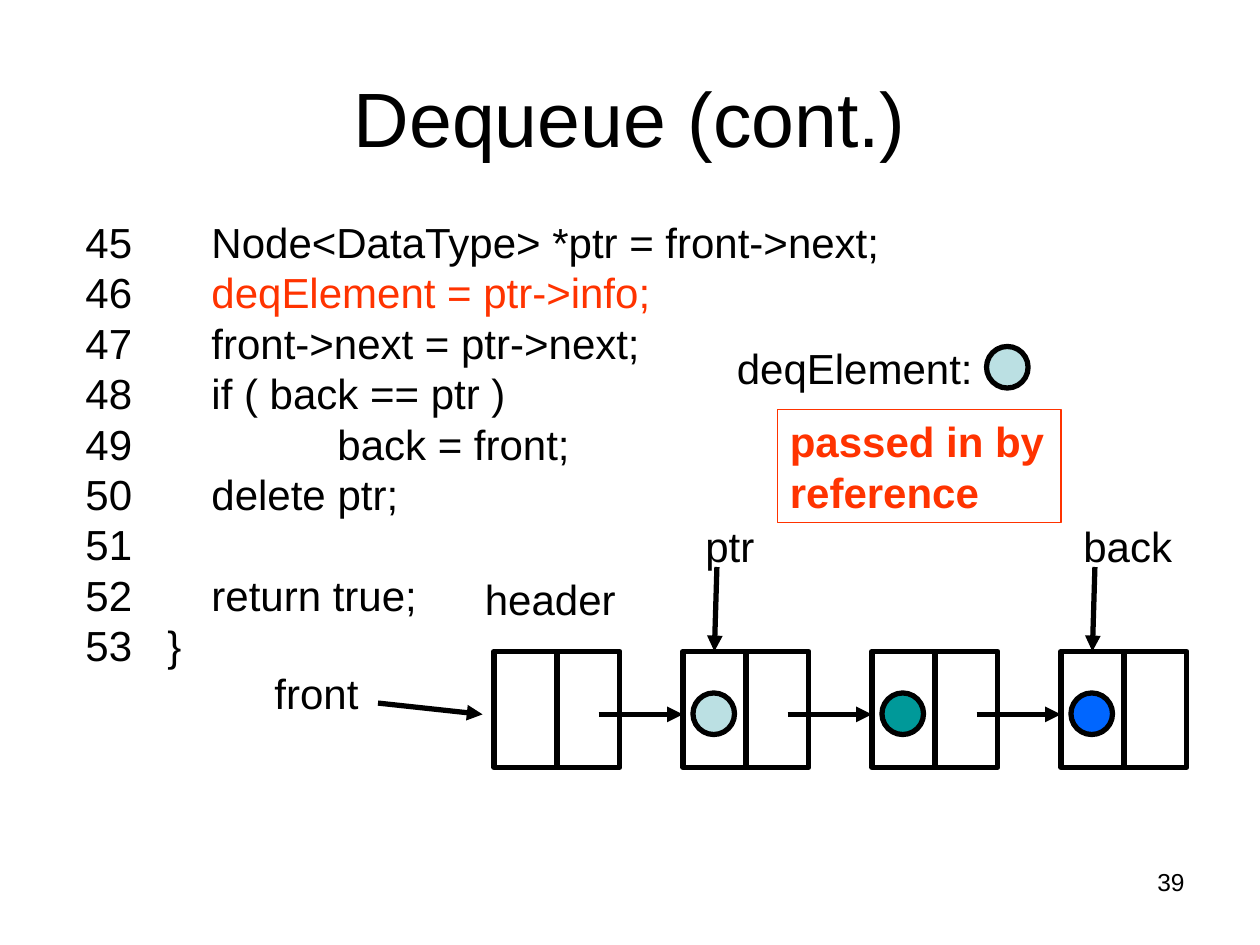
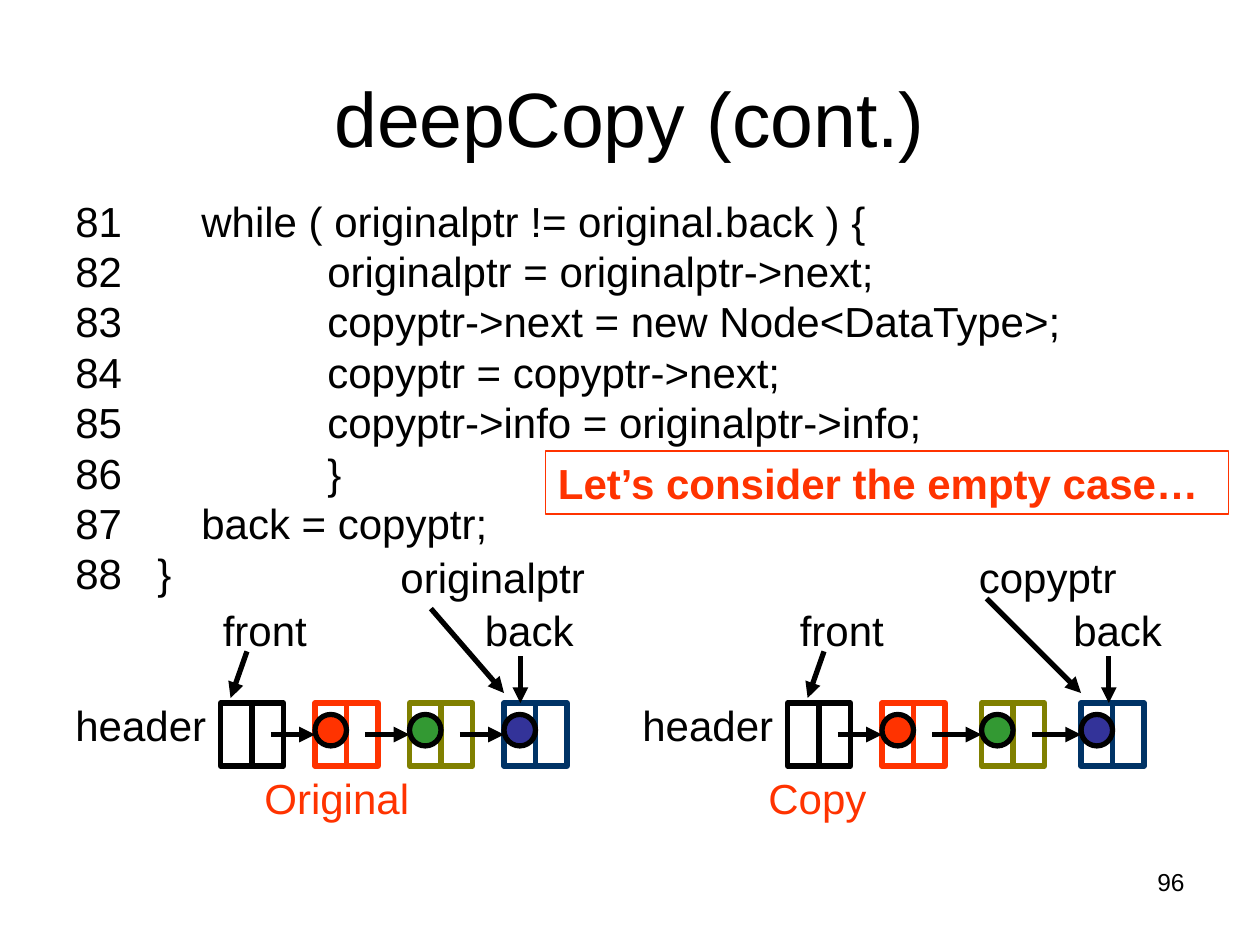
from dataclasses import dataclass

from lxml.etree import SubElement
from pptx import Presentation
from pptx.dml.color import RGBColor
from pptx.enum.shapes import MSO_CONNECTOR as Connector, MSO_SHAPE as Shape
from pptx.enum.text import MSO_ANCHOR as Anchor, PP_ALIGN as Align
from pptx.oxml.ns import qn
from pptx.util import Inches, Pt

BLACK = RGBColor(0x00, 0x00, 0x00)
WHITE = RGBColor(0xFF, 0xFF, 0xFF)
RED = RGBColor(0xFF, 0x33, 0x00)
PALE = RGBColor(0xBB, 0xE0, 0xE3)
TEAL = RGBColor(0x00, 0x99, 0x99)
BLUE = RGBColor(0x00, 0x66, 0xFF)
OLIVE = RGBColor(0x80, 0x80, 0x00)
NAVY = RGBColor(0x00, 0x33, 0x66)
GREEN = RGBColor(0x33, 0x99, 0x33)
INDIGO = RGBColor(0x33, 0x33, 0x99)

FONT = "Arial"
BODY_SIZE = 24
LINE_PITCH = 1.2


@dataclass
class QueueLayout:
    """Hold the captions of a queue and offsets from its left edge."""
    caption: str
    caption_left: float
    pointer: str
    pointer_left: float
    pointer_from: tuple
    front_left: float
    back_left: float
    pitch: float


def write(para, text, color=BLACK, size=BODY_SIZE, bold=False):
    """Append one formatted run to a paragraph."""
    span = para.add_run()
    span.text = text
    span.font.name = FONT
    span.font.size = Pt(size)
    span.font.bold = bold
    span.font.color.rgb = color


def add_box(page, left, top, width, height):
    """Add a wrapping text box and return its text frame."""
    box = page.shapes.add_textbox(
        Inches(left), Inches(top), Inches(width), Inches(height))
    box.text_frame.word_wrap = True
    return box.text_frame


def add_label(page, text, left, top, width, height=0.5, color=BLACK):
    """Add a one-line body label."""
    para = add_box(page, left, top, width, height).paragraphs[0]
    para.line_spacing = Pt(BODY_SIZE * LINE_PITCH)
    write(para, text, color)


def add_figure(page, kind, left, top, width, height, fill=None, line=BLACK, weight=3):
    """Add an outlined preset shape with an optional fill."""
    figure = page.shapes.add_shape(
        kind, Inches(left), Inches(top), Inches(width), Inches(height))
    figure.shadow.inherit = False
    figure.line.color.rgb = line
    figure.line.width = Pt(weight)
    if fill is None:
        figure.fill.background()
    else:
        figure.fill.solid()
        figure.fill.fore_color.rgb = fill
    return figure


def add_line(page, start, end, color=BLACK, arrow=False):
    """Draw a straight connector, with an arrowhead at its end if asked."""
    points = [Inches(value) for value in (*start, *end)]
    line = page.shapes.add_connector(Connector.STRAIGHT, *points)
    line.line.color.rgb = color
    line.line.width = Pt(3)
    if arrow:
        SubElement(line.line._get_or_add_ln(), qn("a:tailEnd"), type="triangle")
    SubElement(line._element.spPr, qn("a:effectLst"))


def add_arrow(page, start, end):
    """Draw a pointer arrow."""
    add_line(page, start, end, arrow=True)


def add_node(page, left, top, width, height, color=BLACK, fill=None):
    """Draw a list node split into an info half and a next half."""
    add_figure(page, Shape.RECTANGLE, left, top, width, height, fill, color)
    middle = left + width / 2
    add_line(page, (middle, top), (middle, top + height), color)


def add_item(page, left, top, size, fill):
    """Draw the round data item."""
    add_figure(page, Shape.OVAL, left, top, size, size, fill)


def add_links(page, lefts, level, offset):
    """Draw the next arrows between neighbouring nodes."""
    for left, following in zip(lefts, lefts[1:]):
        add_arrow(page, (left + offset, level), (following, level))


def add_callout(page, text, left, top, width, height):
    """Add a red framed remark."""
    callout = add_figure(page, Shape.RECTANGLE, left, top, width, height,
                         line=RED, weight=0.75)
    frame = callout.text_frame
    frame.word_wrap = True
    frame.vertical_anchor = Anchor.TOP
    para = frame.paragraphs[0]
    para.alignment = Align.LEFT
    para.line_spacing = Pt(BODY_SIZE * LINE_PITCH)
    write(para, text, RED, bold=True)


def add_code(page, left, top, width, first, lines, marked=None):
    """List numbered code, with (indent in inches, text) for each line."""
    height = 0.1 + 0.4 * len(lines)
    frame = add_box(page, left, top, width, height)
    for index, (indent, text) in enumerate(lines):
        para = frame.paragraphs[0] if index == 0 else frame.add_paragraph()
        para.line_spacing = Pt(BODY_SIZE * LINE_PITCH)
        write(para, str(first + index))
        if text:
            stops = SubElement(para._p.get_or_add_pPr(), qn("a:tabLst"))
            SubElement(stops, qn("a:tab"), pos=str(Inches(indent)), algn="l")
            write(para, "\t" + text, RED if first + index == marked else BLACK)


def add_page(deck, title, number):
    """Add a blank slide with its title and slide number."""
    page = deck.slides.add_slide(deck.slide_layouts[6])
    frame = add_box(page, 0.5, 0.3, 9, 1.25)
    frame.vertical_anchor = Anchor.MIDDLE
    frame.paragraphs[0].alignment = Align.CENTER
    write(frame.paragraphs[0], title, size=44)
    footer = add_box(page, 7.17, 6.83, 2.33, 0.52).paragraphs[0]
    footer.alignment = Align.RIGHT
    write(footer, str(number), size=14)
    return page


def add_dequeue_list(page, left, top):
    """Draw the four-node list with its front, ptr and back pointers."""
    lefts = [left + 1.5 * index for index in range(4)]
    level = top + 0.5
    for node_left in lefts:
        add_node(page, node_left, top, 1, 0.92)
    add_links(page, lefts, level, 0.83)
    for node_left, fill in zip(lefts[1:], (PALE, TEAL, BLUE)):
        add_item(page, node_left + 0.08, top + 0.33, 0.33, fill)
    add_label(page, "header", left - 0.17, top - 0.67, 1.83)
    add_label(page, "front", left - 1.84, top + 0.08, 1.08)
    add_arrow(page, (left - 0.92, top + 0.41), (left - 0.09, level))
    for name, node_left in (("ptr", lefts[1]), ("back", lefts[3])):
        add_label(page, name, node_left + 0.08, top - 1.09, 1)
        add_arrow(page, (node_left + 0.27, top - 0.67), (node_left + 0.25, top))


def add_queue(page, left, top, layout):
    """Draw a captioned queue whose nodes start at the given top."""
    lefts = [left + 1.25] + [left + 2 + layout.pitch * index for index in range(3)]
    for node_left, color in zip(lefts, (BLACK, RED, OLIVE, NAVY)):
        add_node(page, node_left, top, 0.5, 0.5, color, WHITE)
    for node_left, fill in zip(lefts[1:], (RED, GREEN, INDIGO)):
        add_item(page, node_left, top + 0.09, 0.25, fill)
    add_links(page, lefts, top + 0.25, 0.4)
    add_label(page, "header", left, top - 0.08, 1.25)
    front, back = left + layout.front_left, left + layout.back_left
    add_label(page, "front", front, top - 0.83, 1, 0.38)
    add_arrow(page, (front + 0.29, top - 0.41), (front + 0.16, top - 0.04))
    add_label(page, "back", back, top - 0.83, 1.04, 0.38)
    add_arrow(page, (back + 0.38, top - 0.37), (back + 0.38, top))
    add_label(page, layout.pointer, left + layout.pointer_left, top - 1.25, 1.92)
    across, above = layout.pointer_from
    add_arrow(page, (left + across, top - above), (lefts[-1], top - 0.08))
    add_label(page, layout.caption, left + layout.caption_left, top + 0.5, 1.75,
              color=RED)


def build_dequeue(deck):
    """Build the dequeue slide."""
    page = add_page(deck, "Dequeue (cont.)", 39)
    add_code(page, 0.58, 1.67, 8.92, 45, [
        (1, "Node<DataType> *ptr = front->next;"),
        (1, "deqElement = ptr->info;"),
        (1, "front->next = ptr->next;"),
        (1, "if ( back == ptr )"),
        (2, "back = front;"),
        (1, "delete ptr;"),
        (1, ""),
        (1, "return true;"),
        (0.65, "}"),
    ], marked=46)
    add_dequeue_list(page, 3.92, 5.17)
    add_label(page, "deqElement:", 5.75, 2.67, 3.5)
    add_item(page, 7.83, 2.75, 0.33, PALE)
    add_callout(page, "passed in by reference", 6.17, 3.25, 2.25, 0.9)


def build_deep_copy(deck):
    """Build the deep copy slide."""
    page = add_page(deck, "deepCopy (cont.)", 96)
    add_code(page, 0.5, 1.5, 9, 81, [
        (1, "while ( originalptr != original.back ) {"),
        (2, "originalptr = originalptr->next;"),
        (2, "copyptr->next = new Node<DataType>;"),
        (2, "copyptr = copyptr->next;"),
        (2, "copyptr->info = originalptr->info;"),
        (2, "}"),
        (1, "back = copyptr;"),
        (0.65, "}"),
    ])
    add_queue(page, 0.5, 5.58, QueueLayout(
        "Original", 1.5, "originalptr", 2.58, (2.92, 0.75), 1.17, 3.25, 0.75))
    add_queue(page, 5, 5.58, QueueLayout(
        "Copy", 1, "copyptr", 2.67, (2.83, 0.83), 1.25, 3.42, 0.79))
    add_callout(page, "Let’s consider the empty case…", 4.33, 3.58, 5.42, 0.5)


def main():
    """Build and save the deck."""
    deck = Presentation()
    deck.slide_width, deck.slide_height = Inches(10), Inches(7.5)
    build_dequeue(deck)
    build_deep_copy(deck)
    deck.save("out.pptx")


if __name__ == "__main__":
    main()
